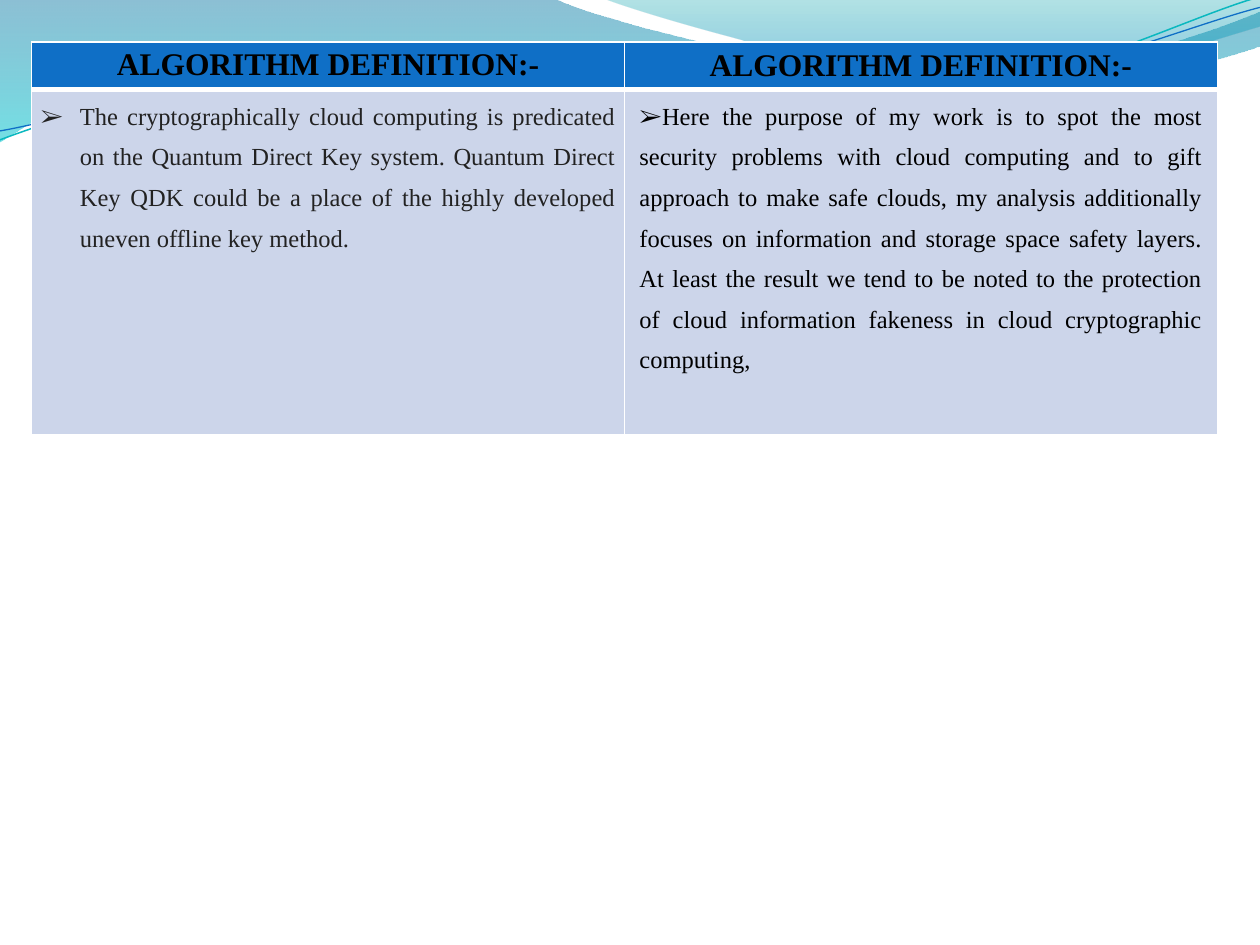
from lxml.etree import SubElement as Sub
from pptx import Presentation
from pptx.dml.color import RGBColor
from pptx.enum.text import PP_ALIGN as Align
from pptx.oxml.ns import qn
from pptx.util import Cm, Pt

FONT = "Times New Roman"
TITLE = "ALGORITHM DEFINITION:-"
LEFT = (
    "The cryptographically cloud computing is predicated on the Quantum Direct "
    "Key system. Quantum Direct Key QDK could be a place of the highly developed "
    "uneven offline key method."
)
RIGHT = (
    "Here the purpose of my work is to spot the most security problems with cloud "
    "computing and to gift approach to make safe clouds, my analysis additionally "
    "focuses on information and storage space safety layers. At least the result we "
    "tend to be noted to the protection of cloud information fakeness in cloud "
    "cryptographic computing,"
)

BAND = [
    (0, 0), (11.18, -0.03),
    (12.09, 0.43, 16.87, 1.6, 19.25, 1.6),
    (21.67, 1.6, 24.33, 0.66, 25.4, 0.23),
    (25.43, 0.91),
    (24.97, 1.12, 22.1, 1.93, 18.95, 1.91),
    (15.8, 1.91, 9.7, 0.71, 6.53, 0.86),
    (3.28, 0.91, 1.17, 2.11, -0.03, 2.87),
]
CREST = [
    (12.17, -0.03),
    (12.93, 0.28, 17.32, 1.57, 19.53, 1.65),
    (21.74, 1.75, 24.41, 0.81, 25.4, 0.53),
    (25.4, 0),
]
TEAL = [
    (0, 2.82),
    (1.22, 2.36, 4.01, 1.45, 7.04, 1.32),
    (10.03, 1.19, 15.06, 2.26, 18.11, 2.03),
    (21.16, 1.8, 23.83, 0.38, 25.35, -0.05),
]
BLUE = [
    (0, 2.64),
    (1.19, 2.44, 4.17, 1.55, 7.19, 1.42),
    (10.24, 1.3, 15.16, 2.13, 18.21, 1.91),
    (21.23, 1.7, 23.9, 0.53, 25.4, 0.15),
]


def color(code):
    return RGBColor.from_string(code)


def add_curve(slide, steps, close):
    dots = [(Cm(step[-2]), Cm(step[-1])) for step in steps]
    pen = slide.shapes.build_freeform(*dots[0])
    pen.add_line_segments(dots[1:], close=close)
    shape = pen.convert_to_shape()
    shape.shadow.inherit = False
    lines = list(shape._element.spPr.iter(qn("a:lnTo")))
    for line, step in zip(lines, steps[1:]):
        if len(step) == 6:
            bend(shape, line, step)
    return shape


def bend(shape, line, step):
    line.tag = qn("a:cubicBezTo")
    for dot in list(line):
        line.remove(dot)
    for x, y in zip(step[::2], step[1::2]):
        Sub(line, qn("a:pt"), x=str(Cm(x) - shape.left), y=str(Cm(y) - shape.top))


def add_wave(slide, steps, stops):
    shape = add_curve(slide, steps, True)
    shape.line.fill.background()
    shape.fill.gradient()
    shape.fill.gradient_angle = 270
    for stop, (place, code, _) in zip(shape.fill.gradient_stops, stops):
        stop.position = place
        stop.color.rgb = color(code)
    tints = shape._element.spPr.iter(qn("a:srgbClr"))
    for tint, (_, _, alpha) in zip(list(tints), stops):
        Sub(tint, qn("a:alpha"), val=str(alpha * 1000))


def add_stroke(slide, steps, code, width):
    shape = add_curve(slide, steps, False)
    shape.fill.background()
    shape.line.color.rgb = color(code)
    shape.line.width = Pt(width)


def add_edges(cell, **widths):
    props = cell._tc.get_or_add_tcPr()
    for side in "LRTB":
        edge = Sub(props, qn("a:ln" + side), w=str(Pt(widths.get(side, 1))))
        Sub(Sub(edge, qn("a:solidFill")), qn("a:srgbClr"), val="FFFFFF")


def fill_cell(cell, text, fill, size, ink, align, bold=False, pad=None, lines=None, after=0):
    cell.fill.solid()
    cell.fill.fore_color.rgb = color(fill)
    if pad is not None:
        cell.margin_left = cell.margin_right = Cm(pad)
        cell.margin_top = cell.margin_bottom = 0
    para = cell.text_frame.paragraphs[0]
    para.text = text
    para.alignment = align
    para.space_after = Pt(after)
    if lines:
        para.line_spacing = lines
    font = para.runs[0].font
    font.name, font.size, font.bold = FONT, Pt(size), bold
    font.color.rgb = color(ink)


def add_bullet(cell, indent):
    props = cell.text_frame.paragraphs[0]._p.get_or_add_pPr()
    props.set("marL", str(Cm(indent)))
    props.set("indent", str(-Cm(indent)))
    Sub(props, qn("a:buFont"), typeface=FONT)
    Sub(props, qn("a:buChar"), char="➢")


def add_grid(slide):
    table = slide.shapes.add_table(2, 2, Cm(0.64), Cm(0.85), Cm(23.9), Cm(7.92)).table
    for row, height in zip(table.rows, (0.96, 6.96)):
        row.height = Cm(height)
    heads = [{"pad": 0.3, "lines": 1.15, "after": 10}, {}]
    bodies = [
        (LEFT, "222222", 0.79, {"pad": 0.18}),
        (RIGHT, "000000", 0, {"pad": 0.3, "after": 10}),
    ]
    for col, (style, (text, ink, indent, look)) in enumerate(zip(heads, bodies)):
        head, body = table.cell(0, col), table.cell(1, col)
        add_edges(head, B=3)
        fill_cell(head, TITLE, "0F6FC6", 18, "000000", Align.CENTER, bold=True, **style)
        add_edges(body, T=3)
        fill_cell(body, text, "CCD5EA", 14, ink, Align.JUSTIFY, lines=1.5, **look)
        add_bullet(body, indent)


def main():
    deck = Presentation()
    deck.slide_width, deck.slide_height = Cm(25.4), Cm(19.05)
    slide = deck.slides.add_slide(deck.slide_layouts[6])
    add_wave(slide, BAND, [(0, "0074A1", 45), (1, "00C6CF", 55)])
    add_wave(slide, CREST, [(0, "00A1A9", 30), (0.8, "008BBF", 45)])
    add_stroke(slide, TEAL, "0AB8BF", 0.85)
    add_stroke(slide, BLUE, "0F6FC6", 0.75)
    add_grid(slide)
    deck.save("out.pptx")


if __name__ == "__main__":
    main()
